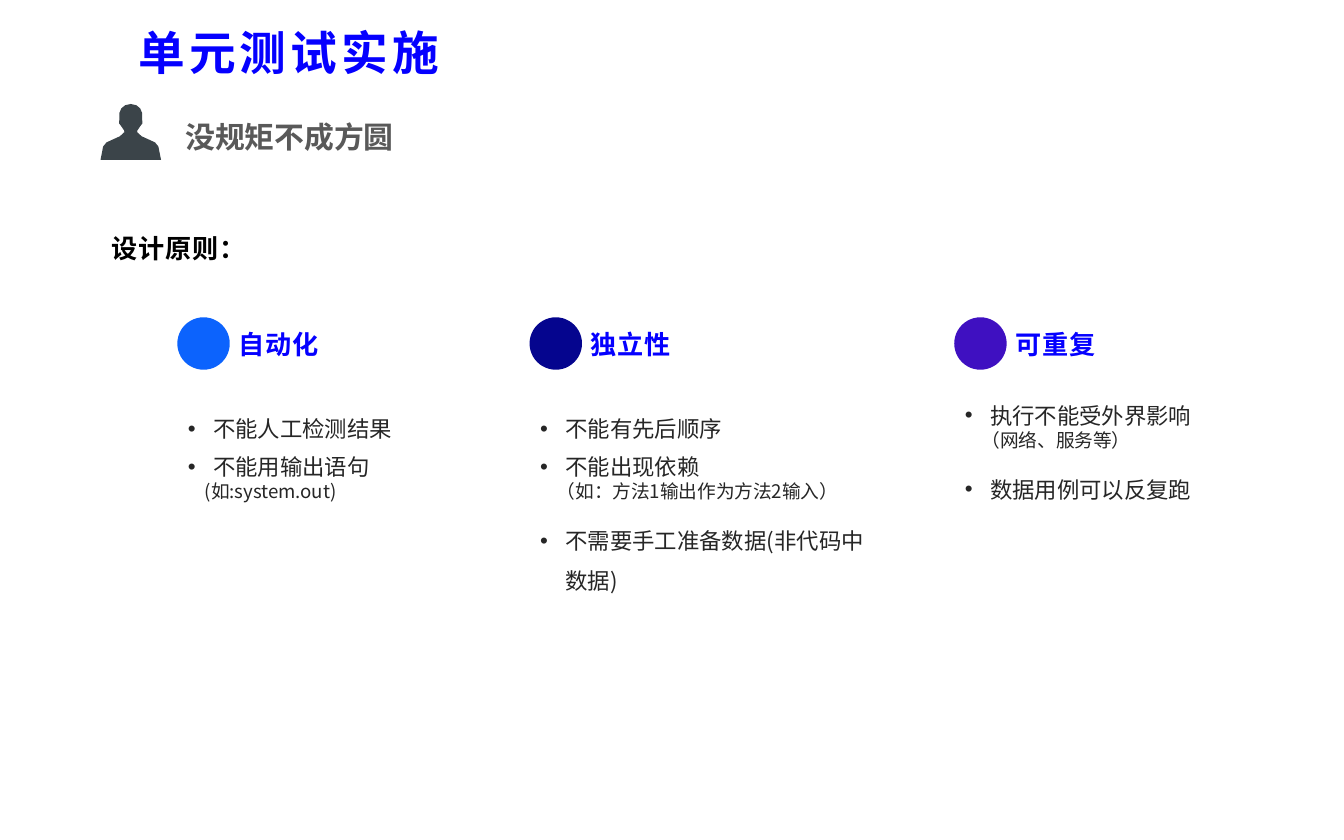
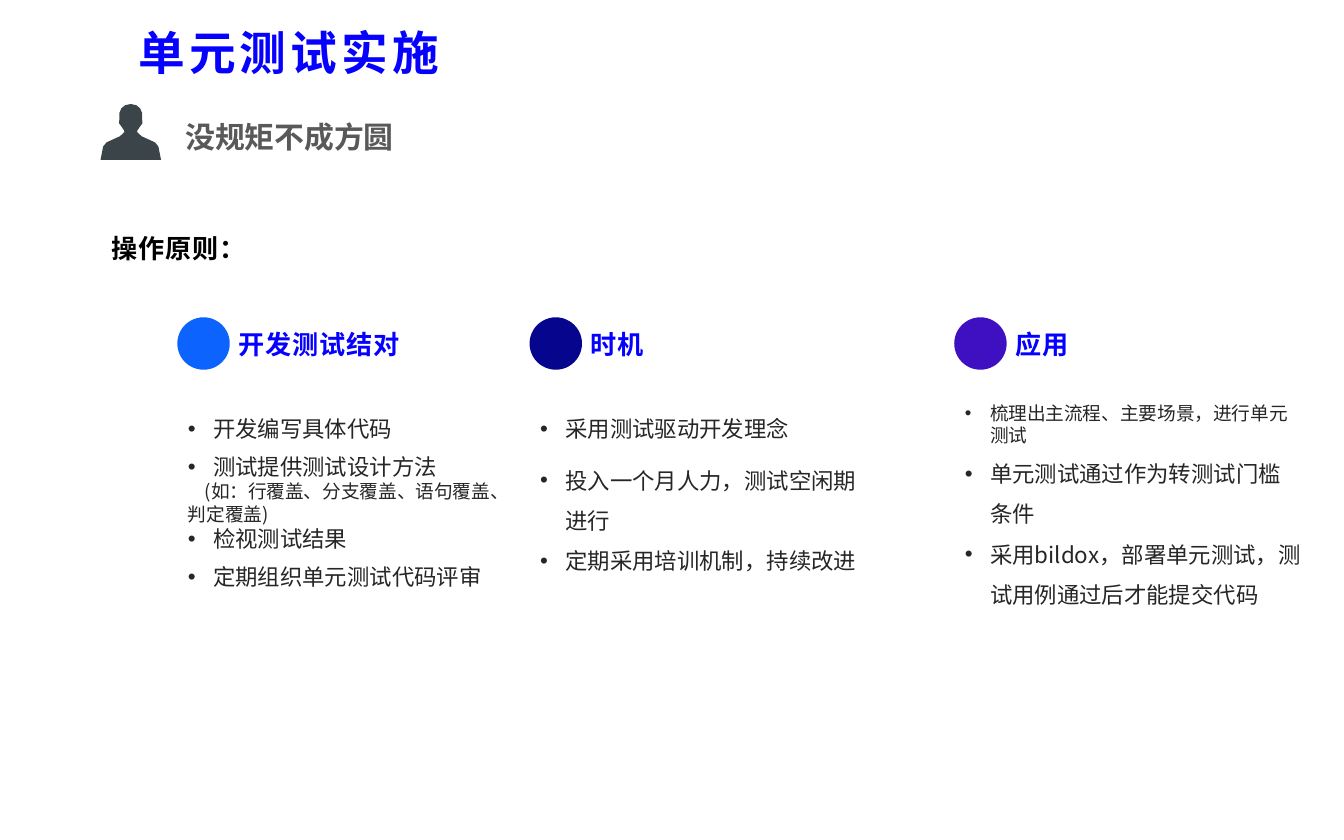
from collections import namedtuple

from lxml import etree
from pptx import Presentation
from pptx.dml.color import RGBColor
from pptx.enum.shapes import MSO_SHAPE
from pptx.enum.text import MSO_AUTO_SIZE
from pptx.oxml.ns import qn
from pptx.util import Pt

OVAL = MSO_SHAPE.OVAL
GROW = MSO_AUTO_SIZE.SHAPE_TO_FIT_TEXT
FONT = "Noto Sans CJK SC"
BLUE, GREY, BLACK, INK, SLATE = "0500FF", "595959", "000000", "262626", "3B4449"
DOTS = ("0C63FD", "05058E", "3F10C1")
LEFTS = (95, 283.7, 511.2)
TOPS = (219.6, 212.4, 212.4)
DOT_TOP, DOT_SIZE = 170, 28.1
PAD_X, PAD_Y = 5.7, 2.85
HANG, NOTE_IN = 13.5, 9
BODY_WIDTH = 192.2
HEAD_MID = 70.05
HALF = ((0, 55.7), (3, 56.4), (5, 58), (6.1, 60.5), (6.1, 64), (6.3, 66),
        (5.2, 67.5), (3.6, 69.8), (3.4, 70.8), (5.8, 73), (13, 76.3),
        (14.8, 78.5), (16.2, 85.6))

Item = namedtuple("Item", "text size after lines bullet", defaults=(12, 0, 1, True))
Column = namedtuple("Column", "label height items")


def note(text, after=0):
    """Describe a small remark without a bullet."""
    return Item(text, 10, after, 1, False)


def color(fill, code):
    """Apply a solid colour given as a hex string."""
    if hasattr(fill, "solid"):
        fill.solid()
        fill = fill.fore_color
    fill.rgb = RGBColor.from_string(code)


def finish(shape, code):
    """Give a shape a plain fill with no line and no shadow."""
    shape.shadow.inherit = False
    color(shape.fill, code)
    shape.line.fill.background()


def add_run(para, text, size, code, bold=False, space=0):
    """Add one styled run."""
    run = para.add_run()
    run.text = text
    run.font.size = Pt(size)
    run.font.bold = bold
    run.font.name = FONT
    color(run.font.color, code)
    props = run.font._element
    etree.SubElement(props, qn("a:ea"), typeface=FONT)
    if space:
        props.set("spc", str(round(space * 100)))


def add_frame(slide, left, top, width, height, wrap=True):
    """Add a text box and return its frame."""
    box = slide.shapes.add_textbox(Pt(left), Pt(top), Pt(width), Pt(height))
    frame = box.text_frame
    frame.word_wrap = wrap
    frame.auto_size = GROW
    frame.margin_left = frame.margin_right = Pt(PAD_X)
    frame.margin_top = frame.margin_bottom = Pt(PAD_Y)
    return frame


def add_label(slide, text, left, top, height, size, code, space=0):
    """Add a bold one-line label as wide as its text."""
    width = len(text) * (size + space) + 2 * PAD_X
    frame = add_frame(slide, left, top, width, height, False)
    add_run(frame.paragraphs[0], text, size, code, True, space)


def add_body(slide, left, top, height, items):
    """Add a list of bullets and remarks."""
    frame = add_frame(slide, left, top, BODY_WIDTH, height)
    for index, item in enumerate(items):
        para = frame.add_paragraph() if index else frame.paragraphs[0]
        para.line_spacing = float(item.lines)
        para.space_after = Pt(item.after)
        props = para._p.get_or_add_pPr()
        if item.bullet:
            props.set("marL", str(Pt(HANG)))
            props.set("indent", str(-Pt(HANG)))
            etree.SubElement(props, qn("a:buFont"), typeface="Arial")
            etree.SubElement(props, qn("a:buChar"), char="•")
        else:
            props.set("indent", str(Pt(NOTE_IN)))
        add_run(para, item.text, item.size, INK)


def add_person(slide):
    """Draw a bust by mirroring half its outline."""
    right = [(Pt(HEAD_MID + x), Pt(y)) for x, y in HALF]
    left = [(Pt(HEAD_MID - x), Pt(y)) for x, y in reversed(HALF[1:])]
    path = slide.shapes.build_freeform(*right[0])
    path.add_line_segments(right[1:] + left, close=True)
    finish(path.convert_to_shape(), SLATE)


def add_column(slide, left, top, code, column):
    """Add a dot, its label and its list."""
    dot = slide.shapes.add_shape(OVAL, Pt(left), Pt(DOT_TOP), Pt(DOT_SIZE), Pt(DOT_SIZE))
    finish(dot, code)
    add_label(slide, column.label, left + 27.2, 172.8, 22.3, 14, BLUE, 0.4)
    add_body(slide, left, top, column.height, column.items)


def add_page(deck, topic, columns):
    """Build one slide of principles."""
    slide = deck.slides.add_slide(deck.slide_layouts[6])
    add_label(slide, "没规矩不成方圆", 93.6, 60.5, 25.2, 16, GREY)
    for left, top, code, column in zip(LEFTS, TOPS, DOTS, columns):
        add_column(slide, left, top, code, column)
    add_label(slide, topic, 54, 121.7, 22.3, 14, BLACK, 0.4)
    title = add_frame(slide, 68.4, 10.1, 233.3, 36)
    add_run(title.paragraphs[0], "单元测试实施", 25, BLUE, True, 2.3)
    add_person(slide)


DESIGN = (
    Column("自动化", 53.3, (
        Item("不能人工检测结果", after=6),
        Item("不能用输出语句"),
        note("(如:system.out)"))),
    Column("独立性", 110.2, (
        Item("不能有先后顺序", after=6, lines=1.5),
        Item("不能出现依赖"),
        note("（如：方法1输出作为方法2输入）", 6),
        Item("不需要手工准备数据(非代码中数据)", lines=1.5))),
    Column("可重复", 74.9, (
        Item("执行不能受外界影响"),
        note("（网络、服务等）", 6),
        Item("数据用例可以反复跑", lines=1.5))),
)
PRACTICE = (
    Column("开发测试结对", 100.1, (
        Item("开发编写具体代码", after=6),
        Item("测试提供测试设计方法"),
        note("(如：行覆盖、分支覆盖、语句覆盖、判定覆盖)"),
        Item("检视测试结果", after=6),
        Item("定期组织单元测试代码评审", after=6))),
    Column("时机", 98.6, (
        Item("采用测试驱动开发理念", after=6, lines=1.5),
        Item("投入一个月人力，测试空闲期进行", lines=1.5),
        Item("定期采用培训机制，持续改进", lines=1.5))),
    Column("应用", 131.8, (
        Item("梳理出主流程、主要场景，进行单元测试", size=10),
        Item("单元测试通过作为转测试门槛条件", lines=1.5),
        Item("采用bildox，部署单元测试，测试用例通过后才能提交代码", lines=1.5))),
)


def main():
    """Build and save the deck."""
    deck = Presentation()
    deck.slide_width, deck.slide_height = Pt(720), Pt(450)
    add_page(deck, "设计原则：", DESIGN)
    add_page(deck, "操作原则：", PRACTICE)
    deck.save("out.pptx")


if __name__ == "__main__":
    main()
